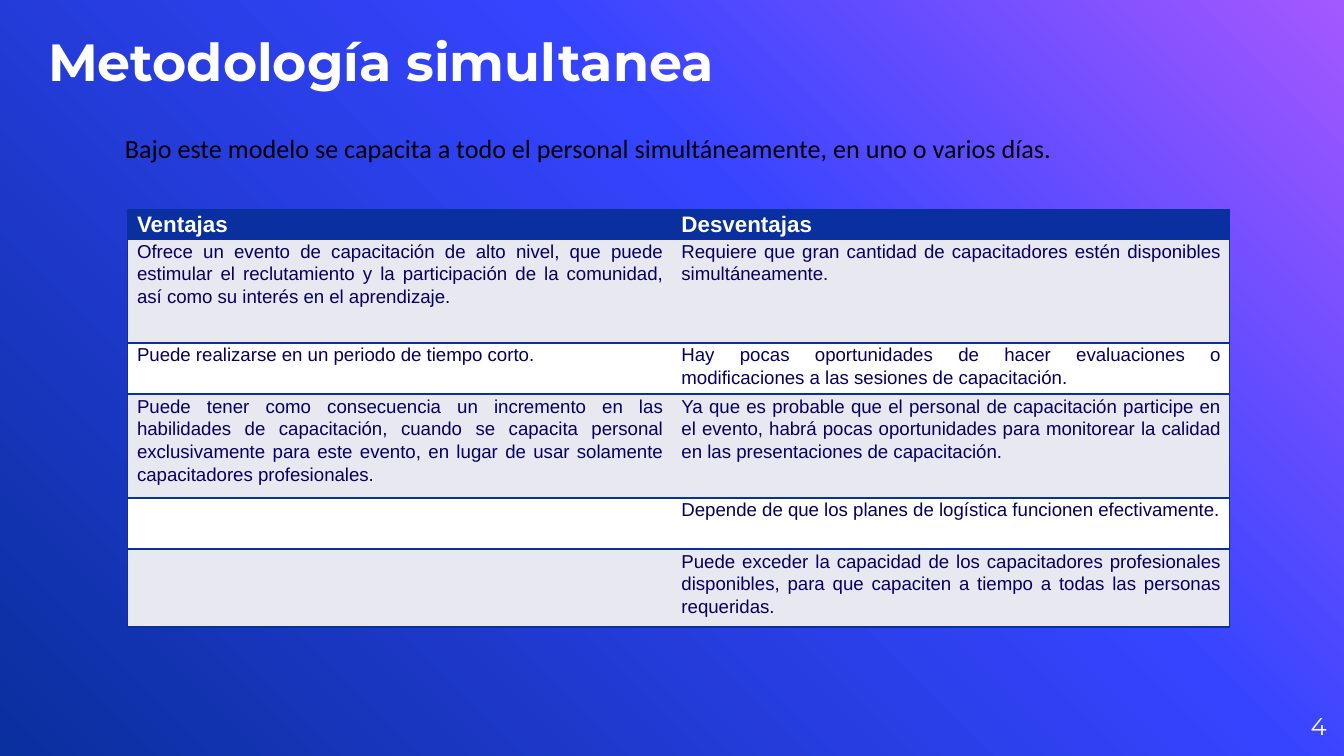
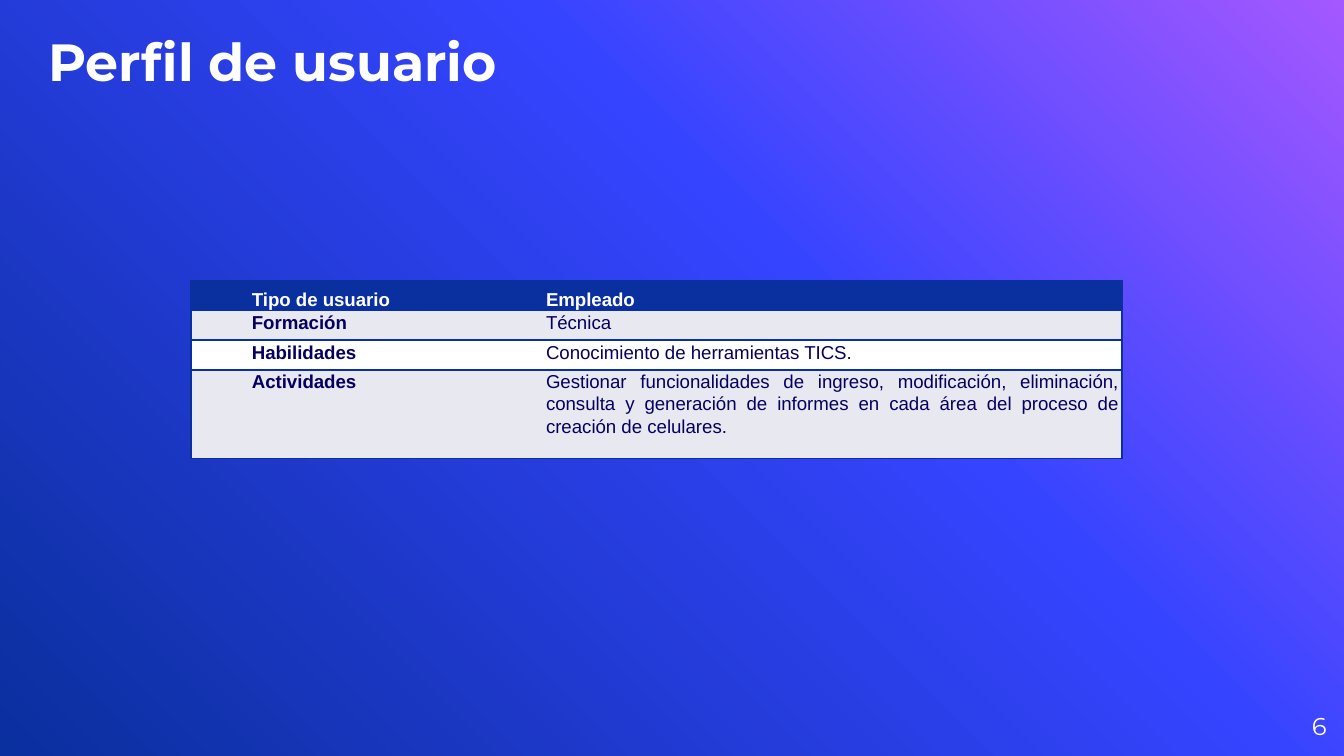
"""Build two slides with a title, a page number and a table each."""
from lxml.etree import SubElement as Sub
from pptx import Presentation
from pptx.dml.color import RGBColor as Rgb
from pptx.enum.text import MSO_ANCHOR as Anchor, MSO_AUTO_SIZE as Auto, PP_ALIGN as Align
from pptx.oxml.ns import qn
from pptx.util import Cm, Pt

HUE = {"violet": "A458FF", "bright": "3544FF", "navy": "0A2F9E", "ink": "050060",
       "pale": "E7E8F0", "white": "FFFFFF", "black": "000000"}
STOPS = [(0, "violet"), (39, "bright"), (100, "navy")]
TITLE = (0.91, 0.56, 22.38, 2.77)
PAGE = (23.55, 13.18, 1.52, 1.09)
INTRO = (2.11, 2.31, 18.82, 0.89)

SLIDES = [
    {
        "title": "Metodología simultanea",
        "page": "4",
        "intro": "Bajo este modelo se capacita a todo el personal simultáneamente, "
                 "en uno o varios días.",
        "rows": [
            ("Ventajas", "Desventajas"),
            ("Ofrece un evento de capacitación de alto nivel, que puede estimular el "
             "reclutamiento y la participación de la comunidad, así como su interés en el "
             "aprendizaje.",
             "Requiere que gran cantidad de capacitadores estén disponibles "
             "simultáneamente."),
            ("Puede realizarse en un periodo de tiempo corto.",
             "Hay pocas oportunidades de hacer evaluaciones o modificaciones a las "
             "sesiones de capacitación."),
            ("Puede tener como consecuencia un incremento en las habilidades de "
             "capacitación, cuando se capacita personal exclusivamente para este evento, "
             "en lugar de usar solamente capacitadores profesionales.",
             "Ya que es probable que el personal de capacitación participe en el evento, "
             "habrá pocas oportunidades para monitorear la calidad en las presentaciones "
             "de capacitación."),
            ("", "Depende de que los planes de logística funcionen efectivamente."),
            ("", "Puede exceder la capacidad de los capacitadores profesionales "
                 "disponibles, para que capaciten a tiempo a todas las personas "
                 "requeridas."),
        ],
        "at": (2.41, 3.96),
        "wide": (10.29, 10.54),
        "high": (0.56, 1.96, 0.97, 1.96, 0.97, 1.47),
        "pad": (0.18, 0),
        "head": 12,
        "labels": False,
        "anchor": Anchor.TOP,
        "text": {"lead": 1.1, "after": 6},
    },
    {
        "title": "Perfil de usuario",
        "page": "6",
        "intro": "",
        "rows": [
            ("Tipo de usuario", "Empleado"),
            ("Formación", "Técnica"),
            ("Habilidades", "Conocimiento de herramientas TICS."),
            ("Actividades",
             "Gestionar funcionalidades de ingreso, modificación, eliminación, consulta y "
             "generación de informes en cada área del proceso de creación de celulares."),
        ],
        "at": (3.61, 5.31),
        "wide": (5.56, 12.04),
        "high": (0.56, 0.56, 0.56, 1.68),
        "pad": (0.08, 0.02),
        "head": 10,
        "labels": True,
        "anchor": Anchor.BOTTOM,
        "text": {"lead": 1.06, "indent": 1.07},
    },
]


def put(frame, text, size, font="Arial", hue="white", bold=False, align=Align.JUSTIFY,
        lead=1.0, after=0, indent=0):
    para = frame.paragraphs[0]
    para.alignment, para.line_spacing = align, lead
    para.space_before, para.space_after = Pt(0), Pt(after)
    if indent:
        para._p.get_or_add_pPr().set("marL", str(Cm(indent)))
    if not text:
        para.font.size = Pt(size)
        return
    run = para.add_run()
    run.text = text
    face = run.font
    face.size, face.name, face.bold = Pt(size), font, bold
    face.color.rgb = Rgb.from_string(HUE[hue])


def clear(frame, anchor):
    frame.margin_left = frame.margin_right = frame.margin_top = frame.margin_bottom = 0
    frame.word_wrap, frame.auto_size = True, Auto.NONE
    frame.vertical_anchor = anchor


def tint(node, hue):
    Sub(node, qn("a:srgbClr"), val=HUE[hue])


def paint(master):
    master.background.fill.gradient()
    grad = master.element.find(".//" + qn("a:gradFill"))
    for kid in list(grad):
        grad.remove(kid)
    stops = Sub(grad, qn("a:gsLst"))
    for spot, hue in STOPS:
        tint(Sub(stops, qn("a:gs"), pos=str(spot * 1000)), hue)
    Sub(grad, qn("a:lin"), ang=str(135 * 60000), scaled="0")


def edge(cell, sides):
    props = cell._tc.get_or_add_tcPr()
    for side in "LRTB":
        line = Sub(props, qn("a:ln" + side), w=str(Pt(1)))
        if side in sides:
            tint(Sub(line, qn("a:solidFill")), "navy")
        else:
            Sub(line, qn("a:noFill"))


def grid(slide, data):
    rows, wide, high = data["rows"], data["wide"], data["high"]
    spots = [Cm(n) for n in (*data["at"], sum(wide), sum(high))]
    table = slide.shapes.add_table(len(rows), len(wide), *spots).table
    table.first_row = table.horz_banding = False
    for col, width in zip(table.columns, wide):
        col.width = Cm(width)
    side, top = data["pad"]
    for r, texts in enumerate(rows):
        table.rows[r].height = Cm(high[r])
        head = r == 0
        for c, text in enumerate(texts):
            cell = table.cell(r, c)
            edge(cell, "TB" + "LR"[c])
            cell.fill.solid()
            fill = "navy" if head else ("white", "pale")[r % 2]
            cell.fill.fore_color.rgb = Rgb.from_string(HUE[fill])
            cell.margin_left = cell.margin_right = Cm(side)
            cell.margin_top, cell.margin_bottom = Cm(top), 0
            cell.vertical_anchor = data["anchor"] if head else Anchor.TOP
            put(cell.text_frame, text, data["head"] if head else 10,
                hue="white" if head else "ink",
                bold=head or (data["labels"] and c == 0), **data["text"])


def box(slide, at):
    return slide.shapes.add_textbox(*map(Cm, at)).text_frame


def build(deck, data):
    slide = deck.slides.add_slide(deck.slide_layouts[5])
    title = slide.shapes.title
    title.left, title.top, title.width, title.height = map(Cm, TITLE)
    clear(title.text_frame, Anchor.TOP)
    put(title.text_frame, data["title"], 28, font="Montserrat", bold=True, align=Align.LEFT)
    page = box(slide, PAGE)
    clear(page, Anchor.MIDDLE)
    put(page, data["page"], 13, font="Montserrat", align=Align.RIGHT)
    if data["intro"]:
        intro = box(slide, INTRO)
        intro.word_wrap, intro.auto_size = True, Auto.SHAPE_TO_FIT_TEXT
        put(intro, data["intro"], 14, font="Calibri", hue="black", **data["text"])
    grid(slide, data)


def main():
    deck = Presentation()
    deck.slide_width, deck.slide_height = Cm(25.4), Cm(14.29)
    paint(deck.slide_master)
    for data in SLIDES:
        build(deck, data)
    deck.save("out.pptx")


if __name__ == "__main__":
    main()
